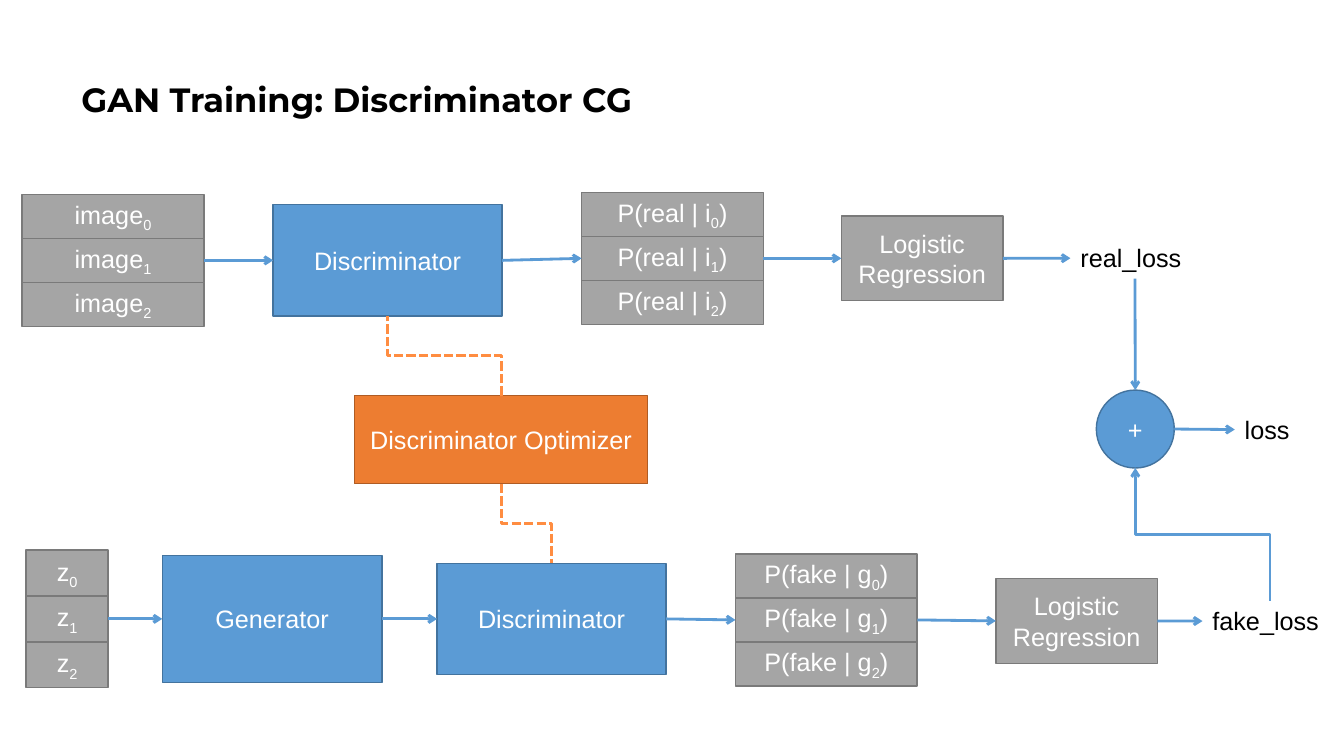
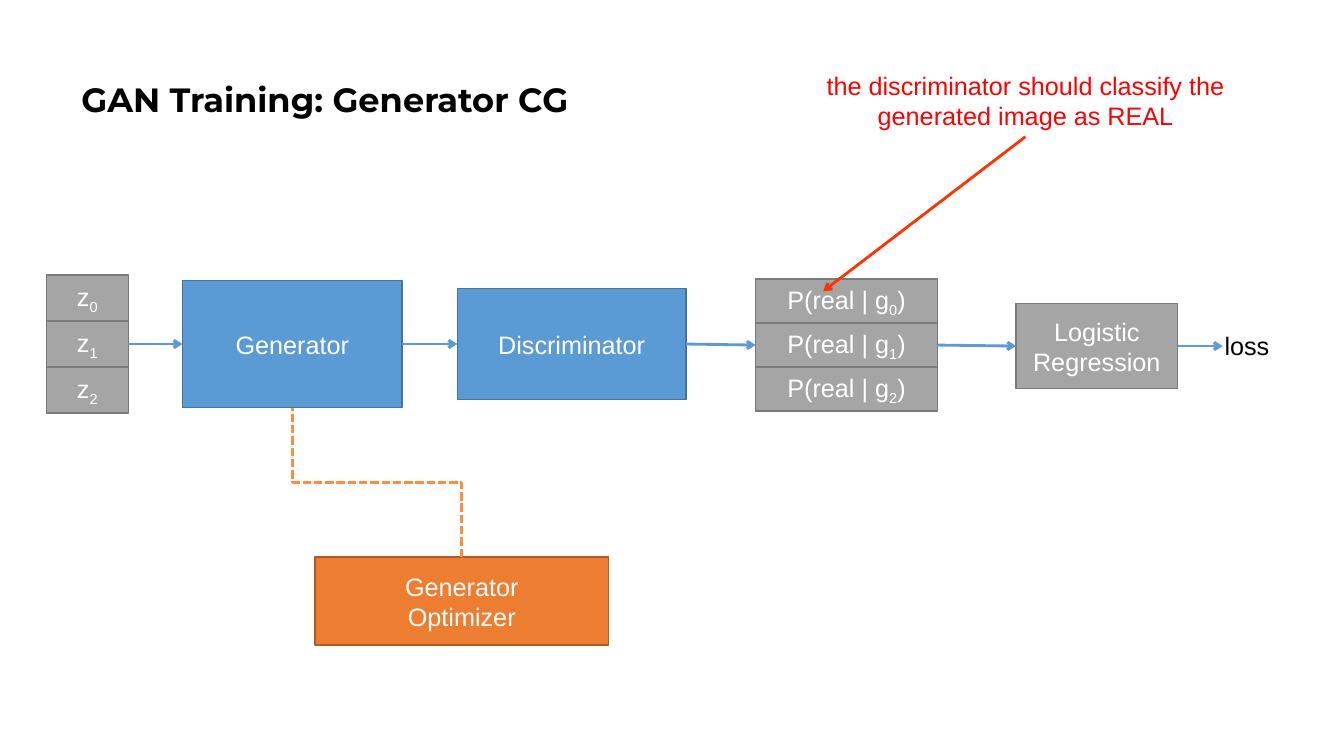
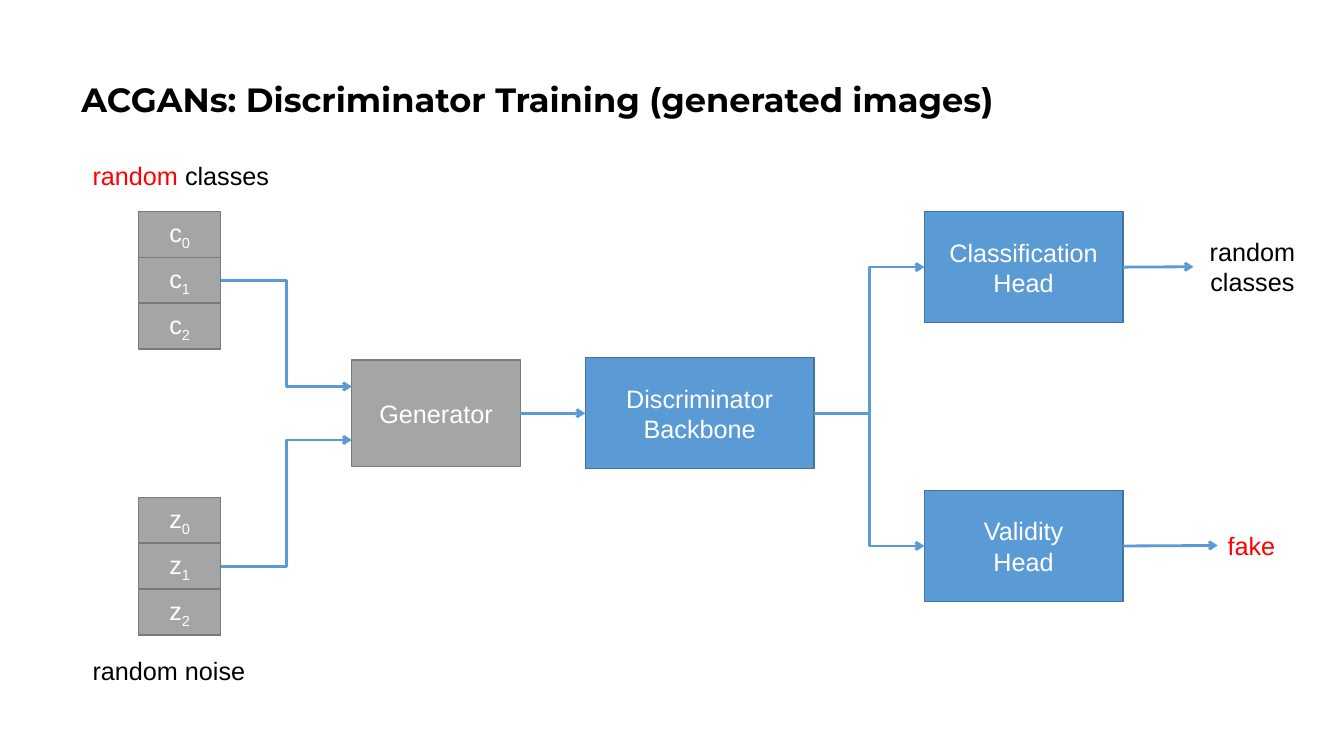
from pptx import Presentation
from pptx.dml.color import RGBColor
from pptx.enum.dml import MSO_LINE
from pptx.enum.shapes import MSO_CONNECTOR, MSO_SHAPE
from pptx.enum.text import MSO_ANCHOR, MSO_AUTO_SIZE, PP_ALIGN
from pptx.oxml.ns import qn
from pptx.util import Emu, Pt
from lxml.etree import SubElement

COLUMNS, ROWS = 40, 22.5
CELL = 304800

BLACK = RGBColor(0x00, 0x00, 0x00)
WHITE = RGBColor(0xFF, 0xFF, 0xFF)
RED = RGBColor(0xFF, 0x00, 0x00)
ARROW_RED = RGBColor(0xFF, 0x33, 0x00)
BLUE = RGBColor(0x5B, 0x9B, 0xD5)
BLUE_EDGE = RGBColor(0x43, 0x73, 0x9E)
GREY = RGBColor(0xA5, 0xA5, 0xA5)
GREY_EDGE = RGBColor(0x7A, 0x7A, 0x7A)
ORANGE = RGBColor(0xED, 0x7D, 0x31)
ORANGE_EDGE = RGBColor(0xAF, 0x5C, 0x24)
DASH_ORANGE = RGBColor(0xFF, 0x8D, 0x41)

NETWORK = (BLUE, BLUE_EDGE)
DATA = (GREY, GREY_EDGE)
OPTIMIZER = (ORANGE, ORANGE_EDGE)

BODY_FONT, TITLE_FONT = "Arial", "Montserrat"
TOP, LEFT, BOTTOM, RIGHT = range(4)

DISCRIMINATOR_SIZE = (6.81, 3.31)
GENERATOR_SIZE = (6.54, 3.78)
LOGISTIC_SIZE = (4.81, 2.52)
HEAD_SIZE = (5.91, 3.31)
OPTIMIZER_SIZE = (8.73, 2.62)
PROBABILITY_SIZE = (5.41, 3.93)
VECTOR_SIZE = (2.44, 4.1)


def grid(cells):
    return Emu(round(cells * CELL))


def style_span(span, colour, size=18, font=BODY_FONT, bold=False):
    span.font.name = font
    span.font.size = Pt(size)
    span.font.bold = bold
    span.font.color.rgb = colour


def style_paragraphs(frame, colour, align=None, **style):
    for para in frame.paragraphs:
        para.alignment = align
        for span in para.runs:
            style_span(span, colour, **style)


def add_title(page, text):
    box = page.shapes.add_textbox(grid(2.13), grid(0.85), grid(34.5), grid(4.35))
    frame = box.text_frame
    frame.word_wrap = True
    frame.vertical_anchor = MSO_ANCHOR.MIDDLE
    frame.text = text
    frame.paragraphs[0].line_spacing = 0.9
    style_paragraphs(frame, BLACK, size=24, font=TITLE_FONT, bold=True)


def add_block(page, text, left, middle, size, colours, preset=MSO_SHAPE.RECTANGLE):
    width, height = size
    block = page.shapes.add_shape(preset, grid(left), grid(middle - height / 2),
                                  grid(width), grid(height))
    block.shadow.inherit = False
    block.fill.solid()
    block.fill.fore_color.rgb, block.line.color.rgb = colours
    block.line.width = Pt(1)
    frame = block.text_frame
    frame.word_wrap = True
    frame.vertical_anchor = MSO_ANCHOR.MIDDLE
    frame.text = text
    style_paragraphs(frame, WHITE, PP_ALIGN.CENTER)
    return block


def add_stack(page, name, left, middle, size, ending=""):
    width, height = size
    step = height / 3
    items = []
    for index in range(3):
        item = add_block(page, name, left, middle + (index - 1) * step, (width, step), DATA)
        para = item.text_frame.paragraphs[0]
        for text, baseline in ((str(index), "-25000"), (ending, "0")):
            if text:
                span = para.add_run()
                span.text = text
                style_span(span, WHITE)
                span.font._element.set("baseline", baseline)
        items.append(item)
    return items


def add_label(page, text, left, top, width, height=1.21, colour=BLACK, align=None, wrap=False):
    label = page.shapes.add_textbox(grid(left), grid(top), grid(width), grid(height))
    frame = label.text_frame
    frame.word_wrap = wrap
    frame.auto_size = MSO_AUTO_SIZE.SHAPE_TO_FIT_TEXT
    frame.text = text
    style_paragraphs(frame, colour, align)
    return label


def turn_upright(connector):
    across = connector.end_x - connector.begin_x
    down = connector.end_y - connector.begin_y
    centre_x = (connector.begin_x + connector.end_x) // 2
    centre_y = (connector.begin_y + connector.end_y) // 2
    connector.width, connector.height = Emu(abs(down)), Emu(abs(across))
    connector.left = Emu(centre_x - abs(down) // 2)
    connector.top = Emu(centre_y - abs(across) // 2)
    frame = connector.element.spPr.find(qn("a:xfrm"))
    frame.set("rot", str((90 if down > 0 else 270) * 60000))
    frame.set("flipH", "0")
    frame.set("flipV", "1" if across * down > 0 else "0")


def use_oval_sites(connector, oval):
    for tag in ("a:stCxn", "a:endCxn"):
        for joint in connector.element.iter(qn(tag)):
            if joint.get("id") == str(oval.shape_id):
                joint.set("idx", str(2 * int(joint.get("idx"))))


def connect(page, start, start_side, end, end_side=LEFT, elbow=False,
            colour=BLUE, weight=2, dashed=False):
    kind = MSO_CONNECTOR.ELBOW if elbow else MSO_CONNECTOR.STRAIGHT
    if end_side is None:
        target = [grid(value) for value in end]
    else:
        target = (end.left, end.top)
    connector = page.shapes.add_connector(kind, start.left, start.top, *target)
    connector.begin_connect(start, start_side)
    if end_side is not None:
        connector.end_connect(end, end_side)
    if elbow and start_side in (TOP, BOTTOM):
        turn_upright(connector)
    connector.line.color.rgb = colour
    connector.line.width = Pt(weight)
    if dashed:
        connector.line.dash_style = MSO_LINE.SQUARE_DOT
    else:
        SubElement(connector.line._get_or_add_ln(), qn("a:tailEnd")).set("type", "arrow")
    SubElement(connector.element.spPr, qn("a:effectLst"))
    return connector


def connect_optimizer(page, optimizer, side, network, weight=2.25):
    connect(page, optimizer, side, network, BOTTOM if side == TOP else TOP,
            elbow=True, colour=DASH_ORANGE, weight=weight, dashed=True)


def add_logistic(page, left, middle):
    return add_block(page, "Logistic\nRegression", left, middle, LOGISTIC_SIZE, DATA)


def add_generator_flow(page, left, middle, probability):
    noise = add_stack(page, "z", left, middle, VECTOR_SIZE)
    generator = add_block(page, "Generator", left + 4.05, middle, GENERATOR_SIZE, NETWORK)
    discriminator = add_block(page, "Discriminator", left + 12.23, middle,
                              DISCRIMINATOR_SIZE, NETWORK)
    scores = add_stack(page, probability, left + 21.11, middle + 0.03, PROBABILITY_SIZE, ")")
    logistic = add_logistic(page, left + 28.86, middle + 0.06)
    chain = [noise[1], generator, discriminator, scores[1], logistic]
    for start, end in zip(chain, chain[1:]):
        connect(page, start, RIGHT, end)
    return generator, discriminator, logistic


def build_discriminator_graph(page):
    add_title(page, "GAN Training: Discriminator CG")
    images = add_stack(page, "image", 0.66, 7.75, PROBABILITY_SIZE)
    discriminator = add_block(page, "Discriminator", 8.13, 7.75, DISCRIMINATOR_SIZE, NETWORK)
    scores = add_stack(page, "P(real | i", 17.31, 7.69, PROBABILITY_SIZE, ")")
    logistic = add_logistic(page, 25.04, 7.69)
    real_loss = add_label(page, "real_loss", 31.86, 7.08, 3.84)
    chain = [images[1], discriminator, scores[1], logistic, real_loss]
    for start, end in zip(chain, chain[1:]):
        connect(page, start, RIGHT, end)

    _, fake_discriminator, fake_logistic = add_generator_flow(page, 0.78, 18.42, "P(fake | g")
    fake_loss = add_label(page, "fake_loss", 35.79, 17.88, 4.02)
    connect(page, fake_logistic, RIGHT, fake_loss)

    plus = add_block(page, "+", 32.63, 12.77, (2.32, 2.32), NETWORK, MSO_SHAPE.OVAL)
    loss = add_label(page, "loss", 36.75, 12.18, 2.04)
    for start, start_side, end, end_side, elbow in (
            (real_loss, BOTTOM, plus, TOP, False),
            (fake_loss, TOP, plus, BOTTOM, True),
            (plus, RIGHT, loss, LEFT, False)):
        use_oval_sites(connect(page, start, start_side, end, end_side, elbow), plus)
    optimizer = add_block(page, "Discriminator Optimizer", 10.55, 13.09,
                          OPTIMIZER_SIZE, OPTIMIZER)
    connect_optimizer(page, optimizer, TOP, discriminator)
    connect_optimizer(page, optimizer, BOTTOM, fake_discriminator)


def build_generator_graph(page):
    add_title(page, "GAN Training: Generator CG")
    generator, _, logistic = add_generator_flow(page, 1.38, 10.24, "P(real | g")
    add_label(page, "loss", 36.15, 9.67, 2.04)
    connect(page, logistic, RIGHT, (36.39, 10.3), None)
    note = add_label(page, "the discriminator should classify the generated image as REAL",
                     24.04, 1.95, 12.96, 2.12, RED, PP_ALIGN.CENTER, True)
    connect(page, note, BOTTOM, (24.5, 8.67), None, colour=ARROW_RED)
    optimizer = add_block(page, "Generator\nOptimizer", 9.38, 17.89, OPTIMIZER_SIZE, OPTIMIZER)
    connect_optimizer(page, optimizer, TOP, generator, 2)


def build_class_graph(page):
    add_title(page, "ACGANs: Discriminator Training (generated images)")
    left, width, height = 10.47, 5.02, 3.18
    middle = 12.3
    noise = add_stack(page, "z", 4.13, 16.85, VECTOR_SIZE)
    add_label(page, "random noise", 2.46, 19.36, 5.73)
    classes = add_stack(page, "c", 4.13, 8.34, VECTOR_SIZE)
    heading = add_label(page, "random ", 2.46, 4.62, 6.45)
    para = heading.text_frame.paragraphs[0]
    para.add_run().text = "classes"
    for span, colour in zip(para.runs, (RED, BLACK)):
        style_span(span, colour)

    generator = add_block(page, "Generator", left, middle, (width, height), DATA)
    for stack, shift in ((classes, -height / 4), (noise, height / 4)):
        connect(page, stack[1], RIGHT, (left, middle + shift), None, elbow=True)
    backbone = add_block(page, "Discriminator\nBackbone", 17.42, middle,
                         DISCRIMINATOR_SIZE, NETWORK)
    connect(page, generator, RIGHT, backbone)

    class_label = add_label(page, "random\nclasses", 35.52, 6.88, 3.51, 2.12,
                            align=PP_ALIGN.CENTER)
    fake_label = add_label(page, "fake", 36.24, 15.63, 2.19, colour=RED)
    for text, row, label in (("Classification\nHead", 7.95, class_label),
                             ("Validity\nHead", 16.25, fake_label)):
        head = add_block(page, text, 27.51, row, HEAD_SIZE, NETWORK)
        connect(page, backbone, RIGHT, head, elbow=True)
        connect(page, head, RIGHT, label)


def main():
    deck = Presentation()
    deck.slide_width, deck.slide_height = grid(COLUMNS), grid(ROWS)
    for build in (build_discriminator_graph, build_generator_graph, build_class_graph):
        build(deck.slides.add_slide(deck.slide_layouts[6]))
    deck.save("out.pptx")


if __name__ == "__main__":
    main()
